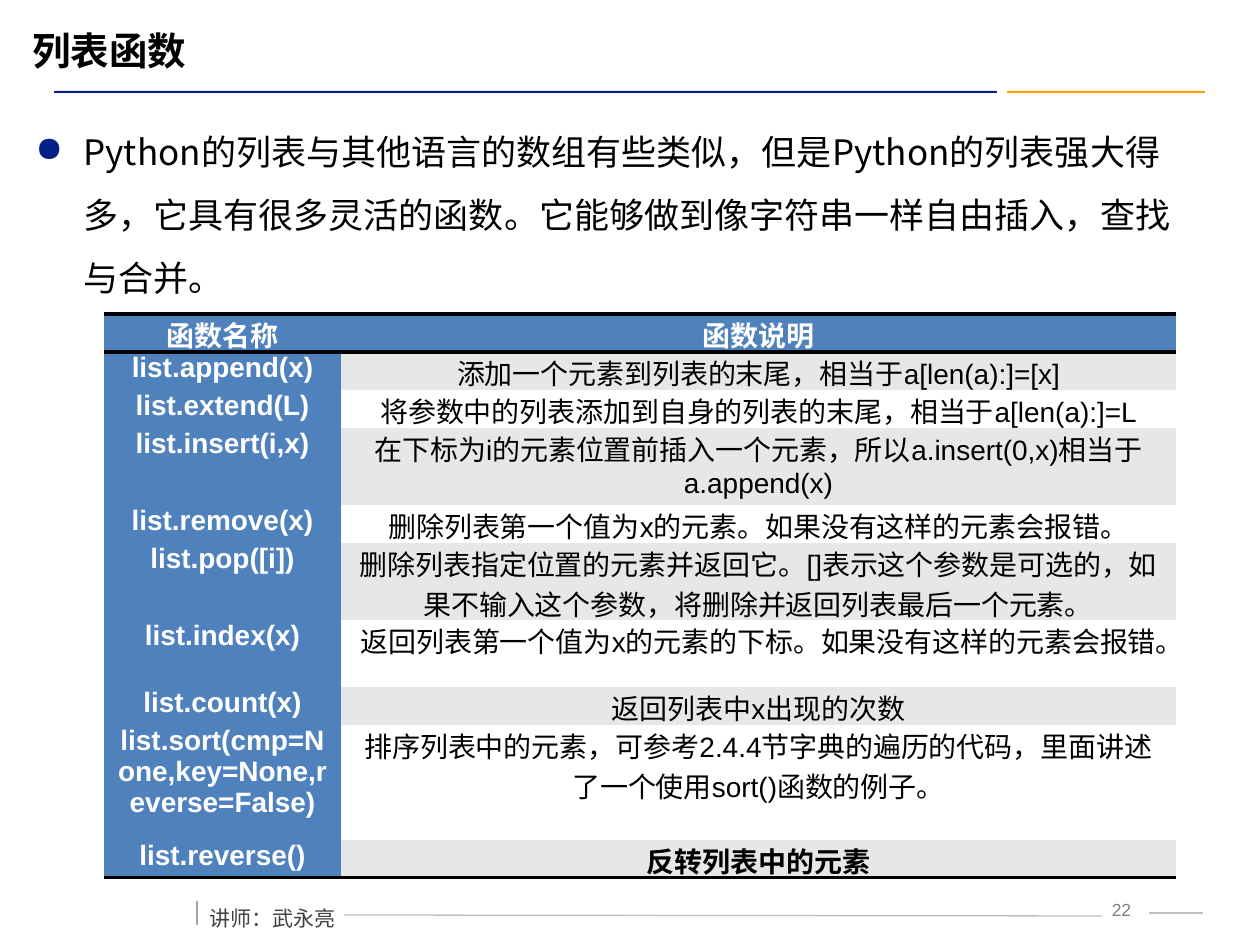
from lxml.etree import SubElement as Sub
from pptx import Presentation
from pptx.dml.color import RGBColor as RGB
from pptx.enum.shapes import MSO_CONNECTOR as Conn, MSO_SHAPE as Shape
from pptx.enum.text import MSO_ANCHOR as Anchor, PP_ALIGN as Align
from pptx.oxml import parse_xml
from pptx.oxml.ns import nsdecls, qn
from pptx.util import Pt

SCALE = 914400 / 126
CJK = "Noto Sans CJK SC"
HEAD = ("函数名称", "函数说明")
ROWS = [
    ("list.append(x)", "添加一个元素到列表的末尾，相当于a[len(a):]=[x]", 38),
    ("list.extend(L)", "将参数中的列表添加到自身的列表的末尾，相当于a[len(a):]=L", 38),
    ("list.insert(i,x)", "在下标为i的元素位置前插入一个元素，所以a.insert(0,x)相当于a.append(x)", 77),
    ("list.remove(x)", "删除列表第一个值为x的元素。如果没有这样的元素会报错。", 38),
    ("list.pop([i])", "删除列表指定位置的元素并返回它。[]表示这个参数是可选的，"
     "如果不输入这个参数，将删除并返回列表最后一个元素。", 77),
    ("list.index(x)", "返回列表第一个值为x的元素的下标。如果没有这样的元素会报错。", 67),
    ("list.count(x)", "返回列表中x出现的次数", 38),
    ("list.sort(cmp=None,key=None,reverse=False)",
     "排序列表中的元素，可参考2.4.4节字典的遍历的代码，里面讲述了一个使用sort()函数的例子。", 115),
    ("list.reverse()", "反转列表中的元素", 38),
]
BODY = ("Python的列表与其他语言的数组有些类似，但是Python的列表强大得多，"
        "它具有很多灵活的函数。它能够做到像字符串一样自由插入，查找与合并。")


def px(*vals):
    out = [round(v * SCALE) for v in vals]
    return out if len(out) > 1 else out[0]


def hue(code):
    return RGB.from_string(code)


class Deck:
    """Draws styled elements on the current slide."""

    def __init__(self):
        self.prs = Presentation()
        self.prs.slide_width, self.prs.slide_height = px(1260, 945)
        self.slide = self.prs.slides.add_slide(self.prs.slide_layouts[6])
        self.shapes = self.slide.shapes

    def style(self, para, size, color="000000", bold=False, font="Arial"):
        for run in para.runs:
            run.font.size, run.font.bold = Pt(size), bold
            run.font.color.rgb = hue(color)
            run.font.name = font
            Sub(run.font._element, qn("a:ea")).set("typeface", CJK)

    def bar(self, x, y, w, h, color):
        bar = self.shapes.add_shape(Shape.ROUNDED_RECTANGLE, *px(x, y, w, h))
        bar.shadow.inherit = False
        bar.adjustments[0] = 0.5
        bar.fill.solid()
        bar.fill.fore_color.rgb = hue(color)
        bar.line.fill.background()

    def line(self, x1, y1, x2, y2, color):
        line = self.shapes.add_connector(Conn.STRAIGHT, *px(x1, y1, x2, y2))
        line.line.width = Pt(0.75)
        line.line.color.rgb = hue(color)
        Sub(line._element.spPr, qn("a:effectLst"))

    def text(self, x, y, w, h, text, size, wrap=True, **look):
        frame = self.shapes.add_textbox(*px(x, y, w, h)).text_frame
        frame.text, frame.word_wrap = text, wrap
        para = frame.paragraphs[0]
        self.style(para, size, **look)
        return para

    def bullet(self, para, mark, color, dent):
        prop = para._p.get_or_add_pPr()
        prop.set("marL", str(px(dent)))
        prop.set("indent", str(-px(dent)))
        Sub(Sub(prop, qn("a:buClr")), qn("a:srgbClr")).set("val", color)
        Sub(prop, qn("a:buChar")).set("char", mark)

    def edge(self, cell, side):
        cell._tc.get_or_add_tcPr().insert(0, parse_xml(
            f'<a:{side} {nsdecls("a")} w="25400"><a:solidFill>'
            f'<a:srgbClr val="000000"/></a:solidFill></a:{side}>'))

    def cell(self, cell, text, fill, color, bold):
        cell.text = text
        cell.margin_left = cell.margin_right = px(10)
        cell.margin_top = cell.margin_bottom = 0
        cell.fill.solid()
        cell.fill.fore_color.rgb = hue(fill)
        para = cell.text_frame.paragraphs[0]
        para.alignment = Align.CENTER
        self.style(para, 16, color, bold)

    def table(self, x, y, cols, head, rows):
        rows = [(*head, 38), *rows]
        last = len(rows) - 1
        high = sum(row[2] for row in rows)
        grid = self.shapes.add_table(
            len(rows), len(cols), *px(x, y, sum(cols), high)).table
        grid._tbl.tblPr.find(qn("a:tableStyleId")).text = \
            "{2D5ABB26-0587-4C30-8999-92F81FD0307C}"
        for col, wide in zip(grid.columns, cols):
            col.width = px(wide)
        for r, (*texts, tall) in enumerate(rows):
            grid.rows[r].height = px(tall)
            for c, text in enumerate(texts):
                cell = grid.cell(r, c)
                if r == 0 or c == 0:
                    self.cell(cell, text, "4F81BD", "FFFFFF", True)
                else:
                    fill = "E7E7E7" if r % 2 else "FFFFFF"
                    self.cell(cell, text, fill, "000000", r == last)
                if r in (0, last):
                    self.edge(cell, "lnB")
                if r == 0:
                    self.edge(cell, "lnT")


def main():
    deck = Deck()
    deck.bar(1007, 91, 198, 2, "F5A000")
    deck.bar(54, 91, 943, 2, "031D89")
    page = deck.text(1092, 893, 59, 32, "22", 10, color="7F7F7F")
    page.alignment = Align.CENTER
    deck.line(344, 915, 1102, 916, "BFBFBF")
    deck.line(1149, 913, 1203, 913, "BFBFBF")
    deck.line(197, 901, 197, 925, "A6A6A6")
    foot = deck.text(197, 887, 152, 45, "讲师：武永亮", 12, wrap=False,
                     color="404040", font=CJK)
    foot.line_spacing, foot.space_before = 1.5, Pt(6)
    title = deck.text(20, 21, 1186, 59, "列表函数", 22, bold=True)
    title._parent.vertical_anchor = Anchor.MIDDLE
    body = deck.text(23, 103, 1183, 178, BODY, 20, font=CJK)
    body.line_spacing, body.space_before = 1.5, Pt(4)
    deck.bullet(body, "●", "032089", 48)
    deck.table(104, 314, (237, 835), HEAD, ROWS)
    deck.prs.save("out.pptx")


if __name__ == "__main__":
    main()
